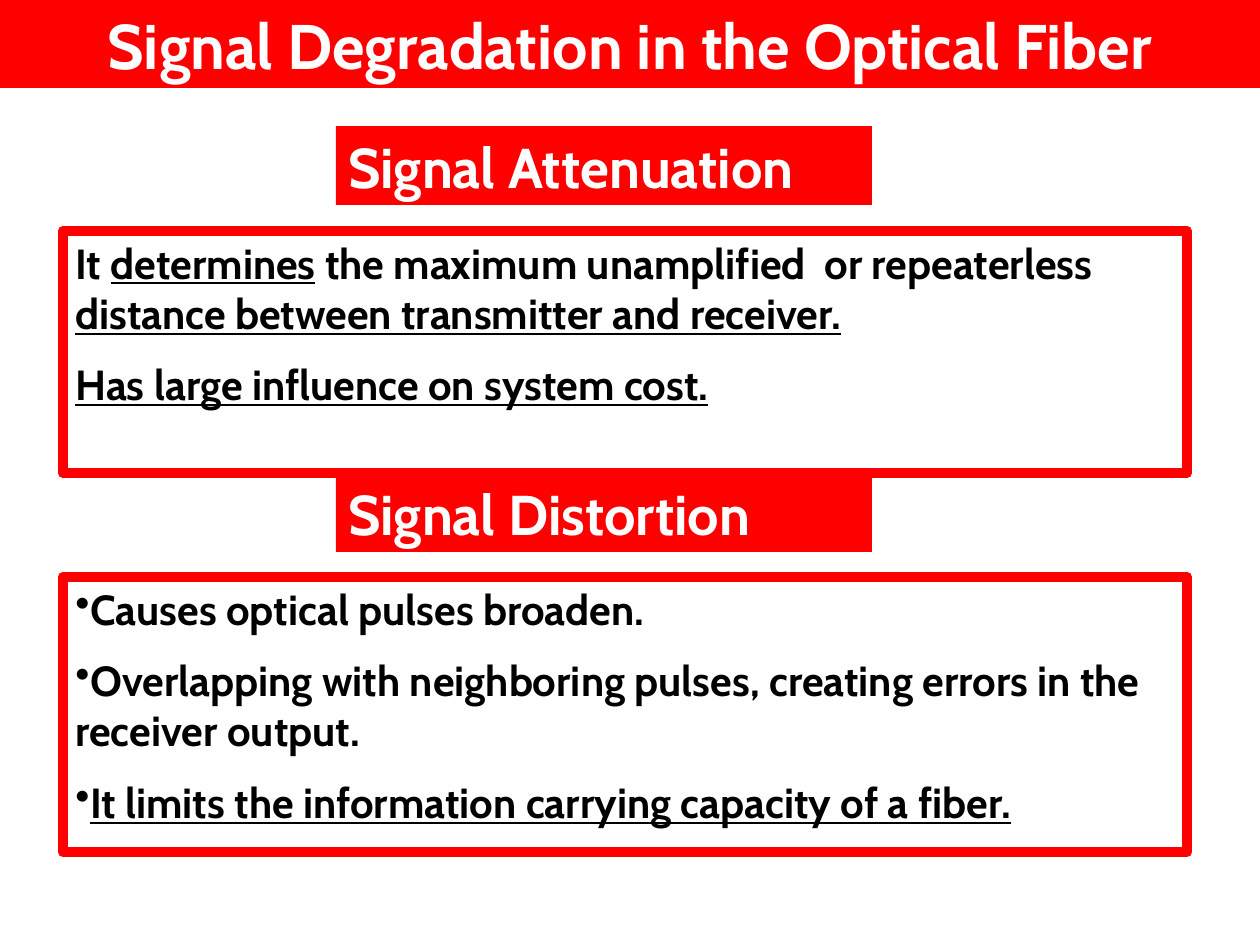
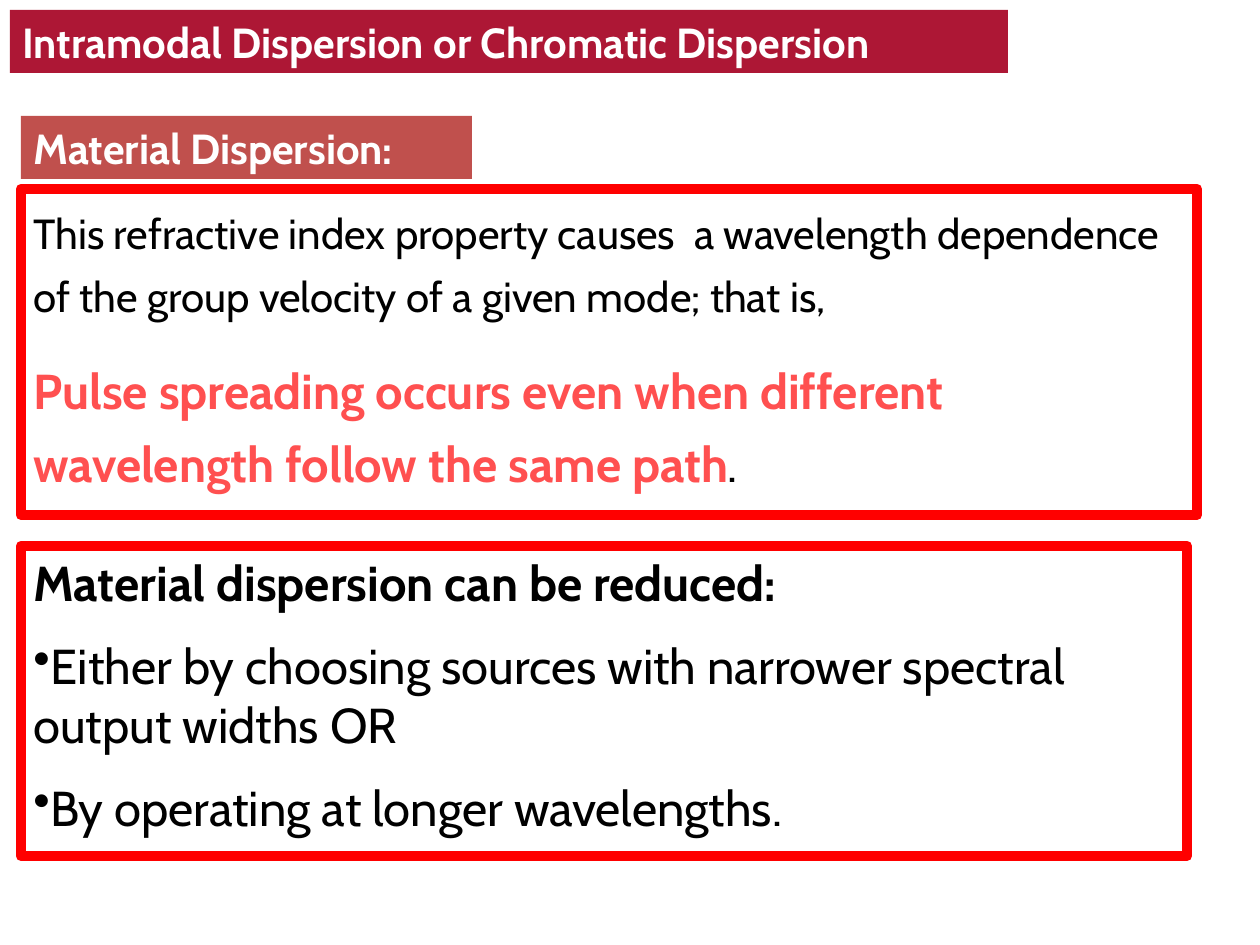
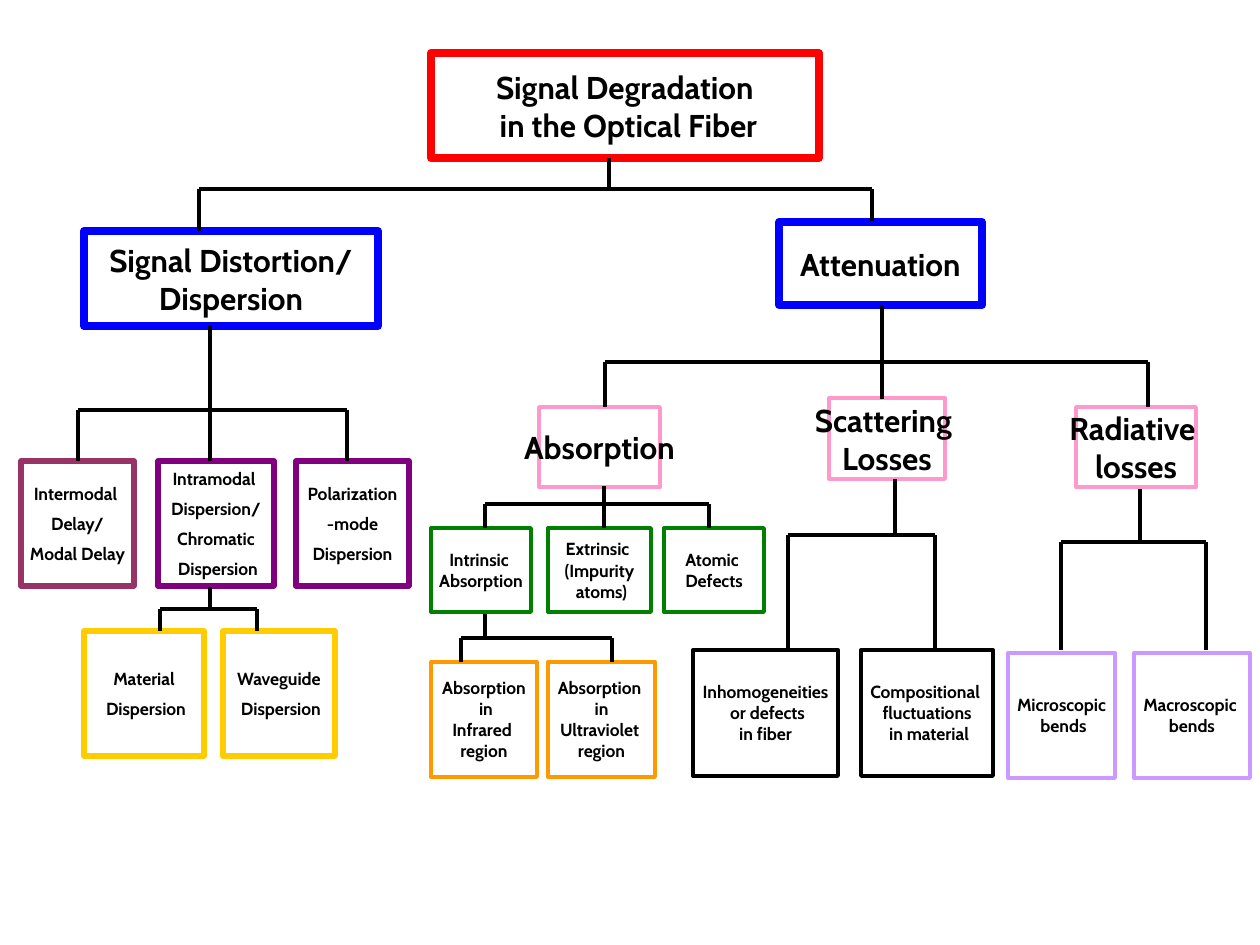
from lxml import etree
from pptx import Presentation
from pptx.dml.color import RGBColor
from pptx.enum.shapes import MSO_CONNECTOR, MSO_SHAPE
from pptx.enum.text import MSO_ANCHOR, PP_ALIGN
from pptx.oxml.ns import qn
from pptx.util import Emu, Pt

RECTANGLE = MSO_SHAPE.RECTANGLE
STRAIGHT = MSO_CONNECTOR.STRAIGHT
TOP, MIDDLE = MSO_ANCHOR.TOP, MSO_ANCHOR.MIDDLE
LEFT, CENTER = PP_ALIGN.LEFT, PP_ALIGN.CENTER

PX_PER_INCH = 126
FONT = "Cabin"
RULE_WIDTH = 2.25
PANEL_LINE = 6

BLACK = RGBColor(0x00, 0x00, 0x00)
WHITE = RGBColor(0xFF, 0xFF, 0xFF)
RED = RGBColor(0xFF, 0x00, 0x00)
BLUE = RGBColor(0x00, 0x00, 0xFF)
CRIMSON = RGBColor(0xA5, 0x00, 0x21)
BRICK = RGBColor(0xC0, 0x50, 0x4D)
CORAL = RGBColor(0xFF, 0x50, 0x50)
PINK = RGBColor(0xFF, 0x99, 0xCC)
PLUM = RGBColor(0x99, 0x33, 0x66)
PURPLE = RGBColor(0x80, 0x00, 0x80)
YELLOW = RGBColor(0xFF, 0xCC, 0x00)
GREEN = RGBColor(0x00, 0x80, 0x00)
ORANGE = RGBColor(0xFF, 0x99, 0x00)
LILAC = RGBColor(0xCC, 0x99, 0xFF)

BOLD = {"bold": True}
UNDERLINED = {"bold": True, "underline": True}

# Line colour, line width, text size, space between lines, top, height, nodes (left, width, text)
NODE_ROWS = [
    (RED, 4.5, 18, 0, 53, 105, [(431, 388, "Signal Degradation\n in the Optical Fiber")]),
    (BLUE, 4.5, 18, 0, 231, 95, [(84, 294, "Signal Distortion/\nDispersion")]),
    (BLUE, 4.5, 18, 0, 222, 83, [(779, 203, "Attenuation")]),
    (PLUM, 3, 10, 5, 461, 125, [(21, 113, "Intermodal \nDelay/\nModal Delay")]),
    (PURPLE, 3, 10, 5, 461, 125, [
        (158, 116, "Intramodal \nDispersion/\nChromatic\n Dispersion"),
        (296, 113, "Polarization\n-mode\nDispersion")]),
    (YELLOW, 3, 10, 5, 631, 125, [
        (84, 120, "Material\n Dispersion"),
        (223, 112, "Waveguide\n Dispersion")]),
    (PINK, 2.25, 18, 0, 407, 80, [
        (539, 121, "Absorption"),
        (1076, 120, "Radiative \nlosses")]),
    (PINK, 2.25, 18, 0, 398, 81, [(829, 116, "Scattering \nLosses")]),
    (GREEN, 2.25, 10, 0, 528, 84, [
        (431, 100, "Intrinsic \nAbsorption"),
        (548, 103, "Extrinsic \n(Impurity\n atoms)"),
        (664, 100, "Atomic \nDefects")]),
    (ORANGE, 2.25, 10, 0, 662, 115, [
        (431, 106, "Absorption\n in\nInfrared \nregion"),
        (548, 107, "Absorption \nin\nUltraviolet \nregion")]),
    (BLACK, 2.25, 10, 0, 650, 126, [
        (693, 145, "Inhomogeneities\n or defects\nin fiber"),
        (861, 132, "Compositional \nfluctuations\n in material")]),
    (LILAC, 2.25, 10, 0, 653, 125, [
        (1008, 107, "Microscopic\n bends"),
        (1134, 116, "Macroscopic \nbends")]),
]

# Stem x, stem top, bar y, drops as {x: bottom}
BRANCHES = [
    (609, 158, 189, {199: 231, 872: 221}),
    (210, 325, 410, {78: 461, 210: 461, 347: 461}),
    (210, 587, 609, {160: 631, 257: 631}),
    (882, 305, 362, {605: 407, 882: 399, 1148: 407}),
    (604, 486, 504, {485: 528, 604: 528, 709: 528}),
    (485, 614, 638, {461: 662, 612: 662}),
    (895, 479, 535, {788: 650, 935: 650}),
    (1140, 489, 542, {1061: 650, 1206: 650}),
]


def px(length):
    return Emu(round(length * 914400 / PX_PER_INCH))


def add_page(deck):
    return deck.slides.add_slide(deck.slide_layouts[6])


def add_box(page, place, fill=None, line=None, line_width=PANEL_LINE, anchor=TOP, wrap=True):
    box = page.shapes.add_shape(RECTANGLE, *map(px, place))
    box.shadow.inherit = False
    if fill is None:
        box.fill.background()
    else:
        box.fill.solid()
        box.fill.fore_color.rgb = fill
    if line is None:
        box.line.fill.background()
    else:
        box.line.color.rgb = line
        box.line.width = Pt(line_width)
    box.text_frame.word_wrap = wrap
    box.text_frame.vertical_anchor = anchor
    return box


def add_para(box, spans, size, color=BLACK, align=LEFT, gap=0, line_spacing=None, bullet=False):
    """Write spans of (text, format) as the next paragraph; the gap goes above all but the first."""
    frame = box.text_frame
    is_first = not frame.paragraphs[0].runs
    para = frame.paragraphs[0] if is_first else frame.add_paragraph()
    para.alignment = align
    para.space_before = Pt(0 if is_first else gap)
    if line_spacing:
        para.line_spacing = line_spacing
    if bullet:
        etree.SubElement(para._p.get_or_add_pPr(), qn("a:buChar")).set("char", "•")
    for text, text_format in spans:
        span = para.add_run()
        span.text = text
        values = {"name": FONT, "size": Pt(size), "color": color, **text_format}
        span.font.color.rgb = values.pop("color")
        for name, value in values.items():
            setattr(span.font, name, value)


def add_band(page, place, text, size, fill=RED, align=LEFT):
    band = add_box(page, place, fill=fill)
    add_para(band, [(text, BOLD)], size, WHITE, align)
    return band


def add_panel(page, place, paras):
    """Outlined text panel; each paragraph is (size, spans, options), spaced by half its size."""
    panel = add_box(page, place, line=RED)
    for size, spans, options in paras:
        add_para(panel, spans, size, gap=size / 2, **options)


def set_opacity(box, percent):
    color = box.fill._xPr.find(qn("a:solidFill"))[0]
    etree.SubElement(color, qn("a:alpha")).set("val", str(percent * 1000))


def add_rule(page, *ends):
    rule = page.shapes.add_connector(STRAIGHT, *map(px, ends))
    rule.line.color.rgb = BLACK
    rule.line.width = Pt(RULE_WIDTH)
    etree.SubElement(rule._element.spPr, qn("a:effectLst"))


def add_branch(page, stem_x, top, bar_y, drops):
    """Stem down to a horizontal bar, with a drop to each child; a drop under the stem extends it."""
    add_rule(page, min(drops), bar_y, max(drops), bar_y)
    add_rule(page, stem_x, top, stem_x, drops.get(stem_x, bar_y))
    for x, bottom in drops.items():
        if x != stem_x:
            add_rule(page, x, bar_y, x, bottom)


def build_degradation(deck):
    page = add_page(deck)
    add_band(page, (0, 0, 1260, 88), "Signal Degradation in the Optical Fiber", 36, align=CENTER)
    for top, text in [(126, "Signal Attenuation"), (473, "Signal Distortion")]:
        add_band(page, (336, top, 536, 79), text, 32)
    add_panel(page, (63, 231, 1124, 242), [
        (24, [("It ", BOLD), ("determines", UNDERLINED),
              (" the maximum unamplified  or repeaterless ", BOLD),
              ("distance between transmitter and receiver.", UNDERLINED)], {}),
        (24, [("Has large influence on system cost.", UNDERLINED)], {}),
    ])
    effects = [
        ("Causes optical pulses broaden.", BOLD),
        ("Overlapping with neighboring pulses, creating errors in the receiver output.", BOLD),
        ("It limits the information carrying capacity of a fiber.", UNDERLINED),
    ]
    add_panel(page, (63, 577, 1124, 275), [(24, [effect], {"bullet": True}) for effect in effects])


def build_material_dispersion(deck):
    page = add_page(deck)
    title = add_band(page, (10, 10, 998, 63), "Intramodal Dispersion or Chromatic Dispersion",
                     24, CRIMSON)
    set_opacity(title, 91)
    add_band(page, (21, 116, 451, 63), "Material Dispersion:", 24, BRICK)
    loose = {"line_spacing": 1.25}
    add_panel(page, (21, 189, 1176, 326), [
        (24, [("This refractive index property causes  a wavelength dependence of the group "
               "velocity of a given mode; that is,", {})], loose),
        (28, [("Pulse spreading occurs even when different wavelength follow the same path",
               {"bold": True, "color": CORAL}), (".", {})], loose),
    ])
    add_panel(page, (21, 546, 1166, 310), [
        (28, [("Material dispersion can be reduced:", BOLD)], {}),
        (28, [("Either by choosing sources with narrower spectral output widths OR", {})],
         {"bullet": True}),
        (28, [("By operating at longer wavelengths.", {})], {"bullet": True}),
    ])


def build_overview_tree(deck):
    page = add_page(deck)
    for color, line_width, size, gap, top, height, nodes in NODE_ROWS:
        for left, width, text in nodes:
            node = add_box(page, (left, top, width, height), line=color,
                           line_width=line_width, anchor=MIDDLE, wrap=False)
            for line in text.split("\n"):
                add_para(node, [(line, BOLD)], size, align=CENTER, gap=gap)
    for branch in BRANCHES:
        add_branch(page, *branch)


def main():
    deck = Presentation()
    deck.slide_width, deck.slide_height = px(1260), px(945)
    build_degradation(deck)
    build_material_dispersion(deck)
    build_overview_tree(deck)
    deck.save("out.pptx")


if __name__ == "__main__":
    main()
